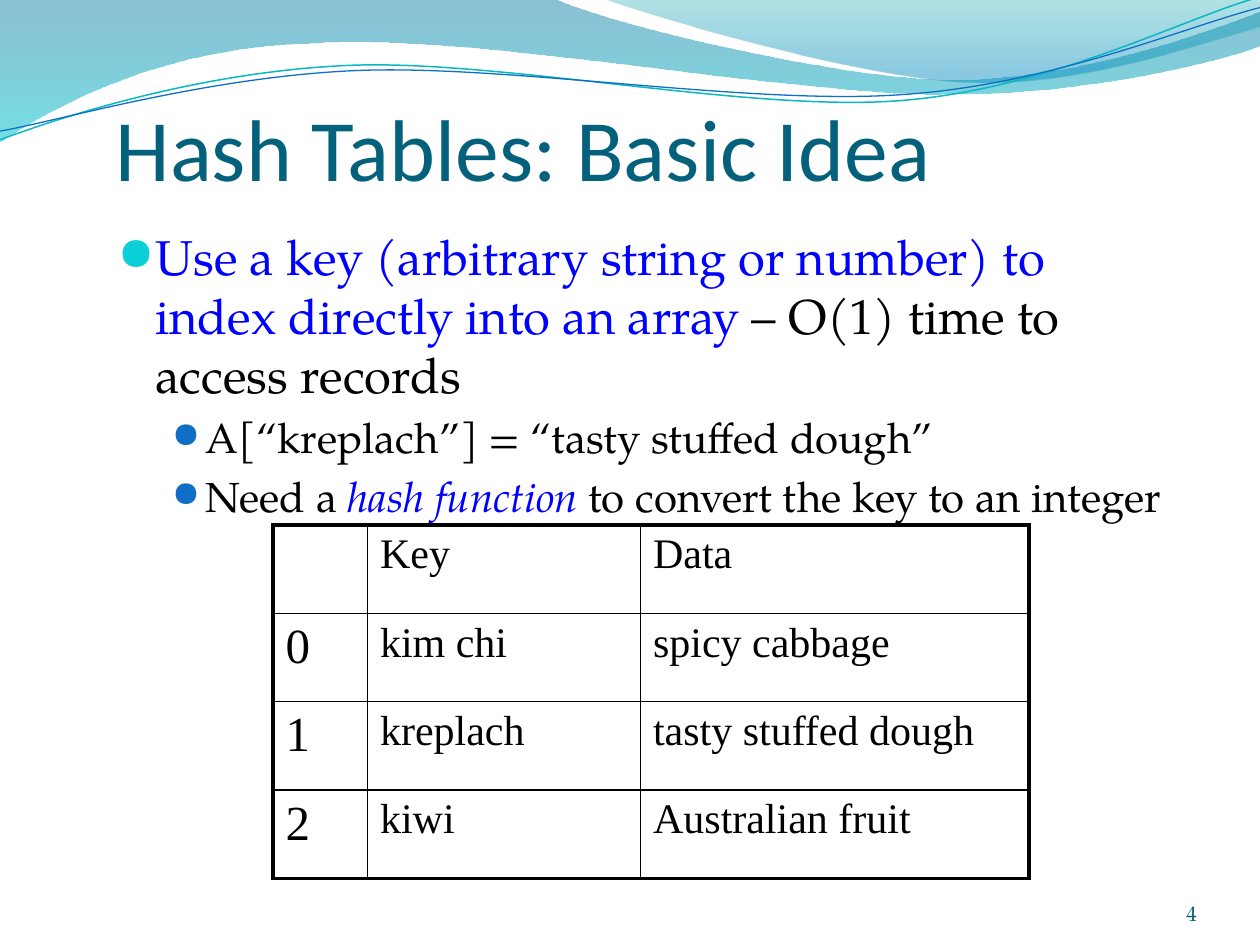
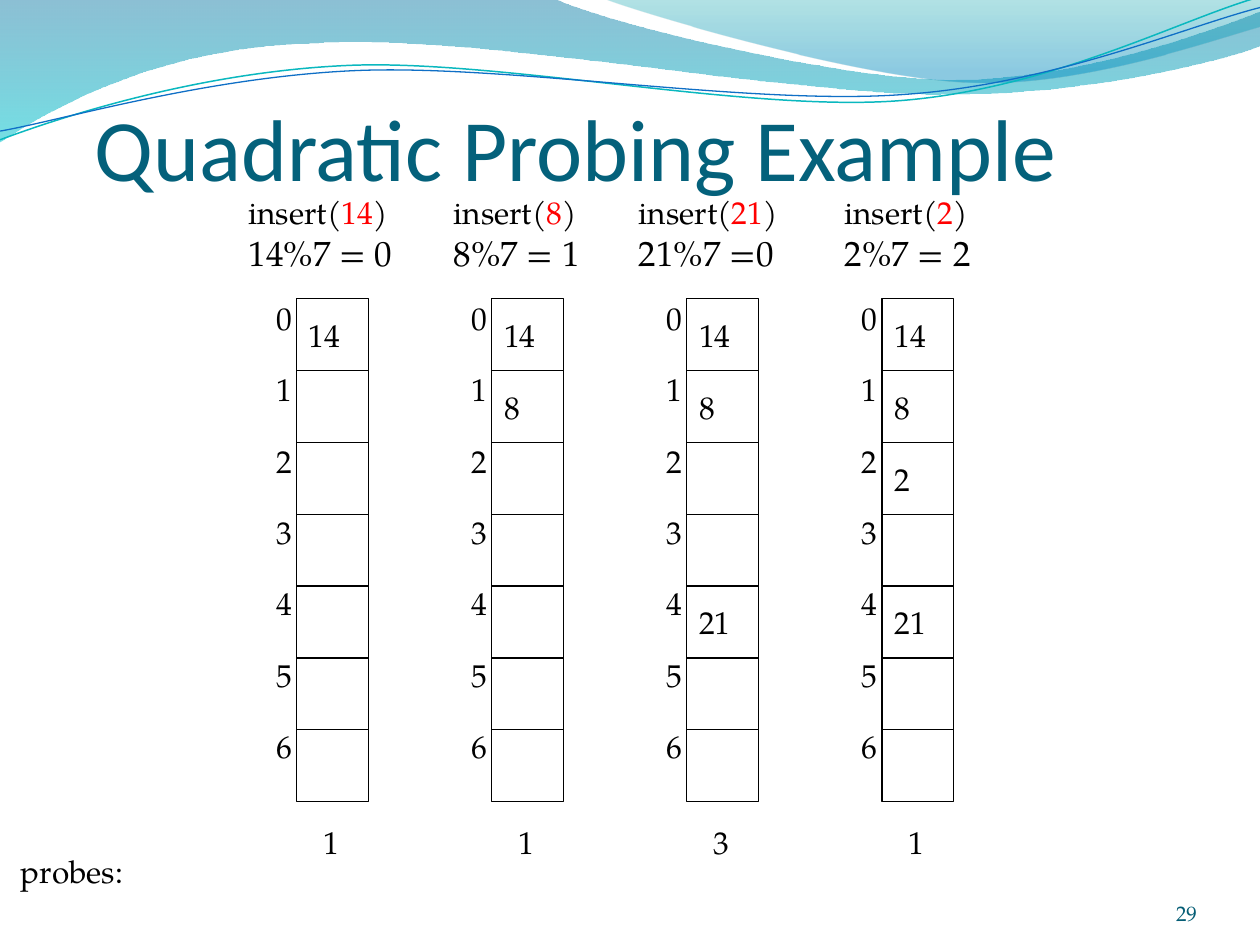
"""Build two slides on hash tables: the basic idea and a quadratic probing example."""
from dataclasses import dataclass

from lxml import etree
from pptx import Presentation
from pptx.dml.color import RGBColor
from pptx.enum import shapes, text
from pptx.oxml.ns import qn
from pptx.util import Pt


@dataclass(frozen=True)
class Theme:
    heading_font: str = "Calibri"
    body_font: str = "TeX Gyre Pagella"
    table_font: str = "Times New Roman"
    bullet_font: str = "OpenSymbol"
    heading: str = "04617B"
    page: str = "045D75"
    ink: str = "000000"
    key_idea: str = "0000FF"
    inserted: str = "FF0000"
    bullets: tuple = ("0BD0D9", "0F6FC6")
    heading_size: float = 50
    point_size: float = 28
    detail_size: float = 24
    sum_size: float = 20
    label_size: float = 18
    page_size: float = 12
    thin: float = 0.75
    inner: float = 1
    outer: float = 2.25


theme = Theme()


def write(paragraph, content, size, color=theme.ink, font=theme.body_font, italic=None):
    run = paragraph.add_run()
    run.text = content
    run.font.name = font
    run.font.size = Pt(size)
    run.font.color.rgb = RGBColor.from_string(color)
    run.font.italic = italic


def add_label(slide, left, top, width, height):
    frame = slide.shapes.add_textbox(Pt(left), Pt(top), Pt(width), Pt(height)).text_frame
    frame.word_wrap = False
    frame.auto_size = text.MSO_AUTO_SIZE.SHAPE_TO_FIT_TEXT
    return frame


prs = Presentation()
prs.slide_width, prs.slide_height = Pt(720), Pt(540)
idea = prs.slides.add_slide(prs.slide_layouts[1])
probing = prs.slides.add_slide(prs.slide_layouts[5])

waves = [
    ([(0, 0), (316.8, -0.7),
      (342.7, 12.2, 478.1, 45.4, 545.8, 45.4), (614.2, 45.4, 689.8, 18.7, 720, 6.5),
      (720.7, 25.9),
      (707.8, 31.7, 626.4, 54.7, 537.1, 54), (447.8, 54, 275, 20.2, 185, 24.5),
      (92.9, 25.9, 33.1, 59.8, -0.7, 81.4)],
     [(0, "0074A1", 45), (1, "00C6CF", 55)], None),
    ([(344.9, -0.7),
      (366.5, 7.9, 491, 44.6, 553.7, 46.8), (616.3, 49.7, 691.9, 23, 720, 15.1),
      (720, 0)],
     [(0, "00A1A9", 30), (0.8, "008BBF", 45)], None),
    ([(0, 79.9), (34.6, 67, 113.8, 41, 199.4, 37.4),
      (284.4, 33.8, 427, 64.1, 513.4, 57.6), (599.8, 51.1, 675.4, 10.8, 718.6, -1.4)],
     None, ("0AB8BF", 0.85)),
    ([(0, 74.9), (33.8, 69.1, 118.1, 43.9, 203.8, 40.3),
      (290.2, 36.7, 429.8, 60.5, 516.2, 54), (601.9, 48.2, 677.5, 15.1, 720, 4.3)],
     None, ("0F6FC6", 0.75)),
]
for order, (segments, gradient, stroke) in enumerate(waves):
    corners = [(Pt(x), Pt(y)) for segment in segments
               for x, y in zip(segment[::2], segment[1::2])]
    builder = idea.shapes.build_freeform(*corners[0])
    builder.add_line_segments(corners[1:], close=gradient is not None)
    wave = builder.convert_to_shape()
    wave.shadow.inherit = False
    steps = iter(list(wave.element.iter(qn("a:lnTo"))))
    for segment in segments[1:]:
        curve = next(steps)
        if len(segment) == 6:
            curve.tag = qn("a:cubicBezTo")
            for follower in (next(steps), next(steps)):
                curve.append(follower[0])
                follower.getparent().remove(follower)
    if gradient:
        wave.line.fill.background()
        wave.fill.gradient()
        wave.fill.gradient_angle = 270
        for stop, (position, color, opacity) in zip(wave.fill.gradient_stops, gradient):
            stop.position = position
            stop.color.rgb = RGBColor.from_string(color)
        tints = wave.element.spPr.iter(qn("a:srgbClr"))
        for tint, (position, color, opacity) in zip(tints, gradient):
            etree.SubElement(tint, qn("a:alpha"), val=str(opacity * 1000))
    else:
        wave.fill.background()
        wave.line.color.rgb = RGBColor.from_string(stroke[0])
        wave.line.width = Pt(stroke[1])
    wave.element.nvSpPr.cNvPr.set("id", str(20 + order))
    prs.slide_master.shapes.element.insert(2 + order, wave.element)

for slide, heading, left, page in [
    (idea, "Hash Tables: Basic Idea", 66, "4"),
    (probing, "Quadratic Probing Example", 54, "29"),
]:
    title = slide.shapes.title
    title.left, title.top, title.width, title.height = Pt(left), Pt(24), Pt(612), Pt(90)
    frame = title.text_frame
    frame.auto_size = text.MSO_AUTO_SIZE.NONE
    frame.vertical_anchor = text.MSO_ANCHOR.BOTTOM
    frame.margin_left = frame.margin_right = frame.margin_bottom = 0
    frame.margin_top = Pt(3.6)
    frame.paragraphs[0].alignment = text.PP_ALIGN.LEFT
    write(frame.paragraphs[0], heading, theme.heading_size, theme.heading, theme.heading_font)

    footer = add_label(slide, 624, 500.4, 60, 28.8)
    footer.word_wrap = True
    footer.auto_size = text.MSO_AUTO_SIZE.NONE
    footer.margin_left = footer.margin_right = footer.margin_top = footer.margin_bottom = 0
    footer.vertical_anchor = text.MSO_ANCHOR.BOTTOM
    footer.paragraphs[0].alignment = text.PP_ALIGN.RIGHT
    write(footer.paragraphs[0], page, theme.page_size, theme.page)

points = [
    (0, [("Use a key (arbitrary string or number) to index directly into an array",
          theme.key_idea, None),
         (" – O(1) time to access records", theme.ink, None)]),
    (1, [("A[“kreplach”] = “tasty stuffed dough”", theme.ink, None)]),
    (1, [("Need a ", theme.ink, None),
         ("hash function", theme.key_idea, True),
         (" to convert the key to an integer", theme.ink, None)]),
]
levels = [(theme.point_size, 21.6, 21.6, 95), (theme.detail_size, 50.4, 19.44, 85)]
body = idea.placeholders[1]
body.left, body.top, body.width, body.height = Pt(60), Pt(126), Pt(612), Pt(324)
body.text_frame.auto_size = text.MSO_AUTO_SIZE.NONE
for index, (level, runs) in enumerate(points):
    point = body.text_frame.add_paragraph() if index else body.text_frame.paragraphs[0]
    size, margin, hanging, bullet_size = levels[level]
    point.level = level
    props = point._p.get_or_add_pPr()
    props.set("marL", str(Pt(margin)))
    props.set("indent", str(-Pt(hanging)))
    bullet_color = etree.SubElement(props, qn("a:buClr"))
    etree.SubElement(bullet_color, qn("a:srgbClr"), val=theme.bullets[level])
    etree.SubElement(props, qn("a:buSzPct"), val=str(bullet_size * 1000))
    etree.SubElement(props, qn("a:buFont"), typeface=theme.bullet_font)
    etree.SubElement(props, qn("a:buChar"), char="●")
    for content, color, italic in runs:
        write(point, content, size, color, italic=italic)

records = [
    ("", "Key", "Data"),
    ("0", "kim chi", "spicy cabbage"),
    ("1", "kreplach", "tasty stuffed dough"),
    ("2", "kiwi", "Australian fruit"),
]
column_widths = (54, 156, 222)
row_height = 50.5
last_row, last_column = len(records) - 1, len(column_widths) - 1
hash_table = idea.shapes.add_table(
    len(records), len(column_widths), Pt(156), Pt(300),
    Pt(sum(column_widths)), Pt(row_height * len(records))).table
hash_table.first_row = hash_table.horz_banding = False
for column, width in zip(hash_table.columns, column_widths):
    column.width = Pt(width)
for r, record in enumerate(records):
    hash_table.rows[r].height = Pt(row_height)
    for c, entry in enumerate(record):
        cell = hash_table.cell(r, c)
        edges = [("a:lnL", c == 0), ("a:lnR", c == last_column),
                 ("a:lnT", r == 0), ("a:lnB", r == last_row)]
        for tag, is_outer in edges:
            weight = theme.outer if is_outer else theme.inner
            border = etree.SubElement(
                cell._tc.get_or_add_tcPr(), qn(tag), w=str(Pt(weight)))
            border_fill = etree.SubElement(border, qn("a:solidFill"))
            etree.SubElement(border_fill, qn("a:srgbClr"), val=theme.ink)
        cell.fill.background()
        if entry:
            size = theme.detail_size if c else theme.point_size
            paragraph = cell.text_frame.paragraphs[0]
            paragraph.space_before = Pt(size * 0.2)
            write(paragraph, entry, size, font=theme.table_font)

slots = 7
slot_size = 41.04
index_pitch = 40.8
first_left, array_top, array_pitch = 169.5, 170.8, 111.5
insertions = [
    ("14", "14%7 = 0", 135, 108, {0: "14"}, "1"),
    ("8", "8%7 = 1", 252.2, 96, {0: "14", 1: "8"}, "1"),
    ("21", "21%7 =0", 358, 108, {0: "14", 1: "8", 4: "21"}, "3"),
    ("2", "2%7 = 2", 475.5, 96, {0: "14", 1: "8", 2: "2", 4: "21"}, "1"),
]
probes_caption = add_label(probing, 4.8, 483.1, 85, 36)
write(probes_caption.paragraphs[0], "probes:", theme.label_size)
for position, insertion in enumerate(insertions):
    key, remainder, call_left, call_width, stored, probe_count = insertion
    array_left = first_left + position * array_pitch
    call = add_label(probing, call_left, 107, call_width, 60)
    for content, color in [("insert(", theme.ink), (key, theme.inserted), (")", theme.ink)]:
        write(call.paragraphs[0], content, theme.label_size, color)
    write(call.add_paragraph(), remainder, theme.sum_size)

    for slot in range(slots):
        square = probing.shapes.add_shape(
            shapes.MSO_SHAPE.RECTANGLE, Pt(array_left), Pt(array_top + slot * slot_size),
            Pt(slot_size), Pt(slot_size))
        square.shadow.inherit = False
        square.fill.background()
        square.line.color.rgb = RGBColor.from_string(theme.ink)
        square.line.width = Pt(theme.thin)
        if slot in stored:
            square.text_frame.word_wrap = False
            square.text_frame.vertical_anchor = text.MSO_ANCHOR.MIDDLE
            value = square.text_frame.paragraphs[0]
            value.alignment = text.PP_ALIGN.LEFT
            write(value, stored[slot], theme.label_size)
        slot_index = add_label(
            probing, array_left - 18.7, array_top - 3.6 + slot * index_pitch, 24, 29)
        write(slot_index.paragraphs[0], str(slot), theme.label_size)

    probe_total = add_label(probing, array_left + 8.2, 467, 27, 36)
    write(probe_total.paragraphs[0], probe_count, theme.label_size)

prs.save("out.pptx")
